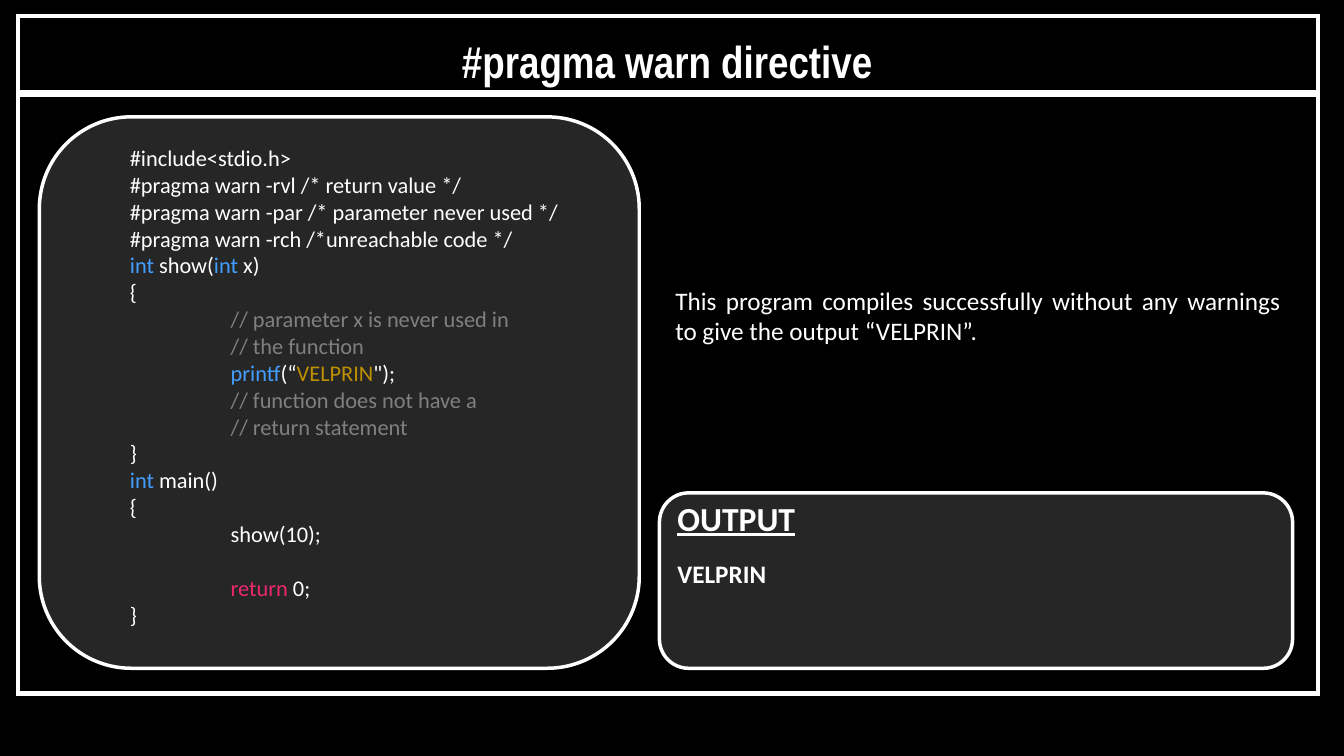
from pptx import Presentation
from pptx.dml.color import RGBColor
from pptx.enum import shapes, text
from pptx.oxml import ns
from pptx.util import Inches, Pt
from lxml import etree

BLACK = RGBColor(0x00, 0x00, 0x00)
WHITE = RGBColor(0xFF, 0xFF, 0xFF)
PANEL = RGBColor(0x26, 0x26, 0x26)
KEYWORD = RGBColor(0x43, 0x9F, 0xFF)
COMMENT = RGBColor(0x80, 0x80, 0x80)
STRING = RGBColor(0xBF, 0x90, 0x00)
RETURN = RGBColor(0xEE, 0x26, 0x6E)

PRINTED = "VELPRIN"
CODE = [
    ["#include<stdio.h>"],
    ["#pragma warn -rvl /* return value */"],
    ["#pragma warn -par /* parameter never used */"],
    ["#pragma warn -rch /*unreachable code */"],
    [("int", KEYWORD), " show(", ("int", KEYWORD), " x)"],
    ["{"],
    [("\t// parameter x is never used in", COMMENT)],
    [("\t// the function", COMMENT)],
    [("\tprintf", KEYWORD), "(“", (PRINTED, STRING), "\");"],
    [("\t// function does not have a", COMMENT)],
    [("\t// return statement", COMMENT)],
    ["}"],
    [("int", KEYWORD), " main()"],
    ["{"],
    ["\tshow(10);"],
    [("\treturn", RETURN), " 0;"],
    ["}"],
]
RETURN_LINE = 15


class SlideBuilder:
    font = {"name": "Calibri", "size": Pt(18), "bold": False}
    tab_width = Inches(1)

    def __init__(self, deck):
        self.page = deck.slides.add_slide(deck.slide_layouts[6])
        fill = self.page.background.fill
        fill.solid()
        fill.fore_color.rgb = BLACK

    def outline(self, item, weight):
        item.line.color.rgb = WHITE
        item.line.width = Pt(weight)
        border = item._element.spPr.find(ns.qn("a:ln"))
        etree.SubElement(border, ns.qn("a:miter")).set("lim", "800000")

    def panel(self, kind, area, weight, color=None):
        box = self.page.shapes.add_shape(kind, *map(Inches, area))
        box.shadow.inherit = False
        if color is None:
            box.fill.background()
        else:
            box.fill.solid()
            box.fill.fore_color.rgb = color
        self.outline(box, weight)

    def rule(self, start, end, weight):
        line = self.page.shapes.add_connector(
            shapes.MSO_CONNECTOR.STRAIGHT, *map(Inches, start + end))
        self.outline(line, weight)
        etree.SubElement(line._element.spPr, ns.qn("a:effectLst"))

    def words(self, area, lines, align=text.PP_ALIGN.LEFT, **formats):
        box = self.page.shapes.add_textbox(*map(Inches, area))
        frame = box.text_frame
        frame.word_wrap = True
        for number, line in enumerate(lines):
            para = frame.add_paragraph() if number else frame.paragraphs[0]
            para.alignment = align
            para._p.get_or_add_pPr().set("defTabSz", str(self.tab_width))
            for part in line:
                content, color = (part, WHITE) if isinstance(part, str) else part
                span = para.add_run()
                span.text = content
                for name, value in {**self.font, **formats}.items():
                    setattr(span.font, name, value)
                span.font.color.rgb = color
        return frame


def main():
    deck = Presentation()
    deck.slide_width = Inches(13.33)
    deck.slide_height = Inches(7.5)
    slide = SlideBuilder(deck)
    rounded = shapes.MSO_SHAPE.ROUNDED_RECTANGLE

    slide.panel(shapes.MSO_SHAPE.RECTANGLE, (0.18, 0.16, 12.89, 6.72), 3)
    slide.words((2.44, 0.29, 8.36, 0.64), [["#pragma warn directive"]],
                text.PP_ALIGN.CENTER, name="Arial Narrow", size=Pt(32), bold=True)
    slide.rule((0.16, 0.93), (13.07, 0.93), 5)

    slide.panel(rounded, (0.39, 1.16, 5.95, 5.47), 2.5, PANEL)
    slide.panel(rounded, (6.54, 4.89, 6.28, 1.74), 2.5, PANEL)

    code = slide.words((1.19, 1.38, 7.46, 5.39), CODE, size=Pt(16))
    code.paragraphs[RETURN_LINE].space_before = Pt(19.5)

    slide.words((6.62, 4.89, 3.12, 0.5), [["OUTPUT"]],
                size=Pt(24), bold=True, underline=True)
    slide.words((6.62, 5.49, 3.12, 0.4), [[PRINTED]], bold=True)
    slide.words((6.6, 2.78, 6.2, 0.71),
                [["This program compiles successfully without any warnings "
                  f"to give the output “{PRINTED}”."]], text.PP_ALIGN.JUSTIFY)

    deck.save("out.pptx")


if __name__ == "__main__":
    main()
